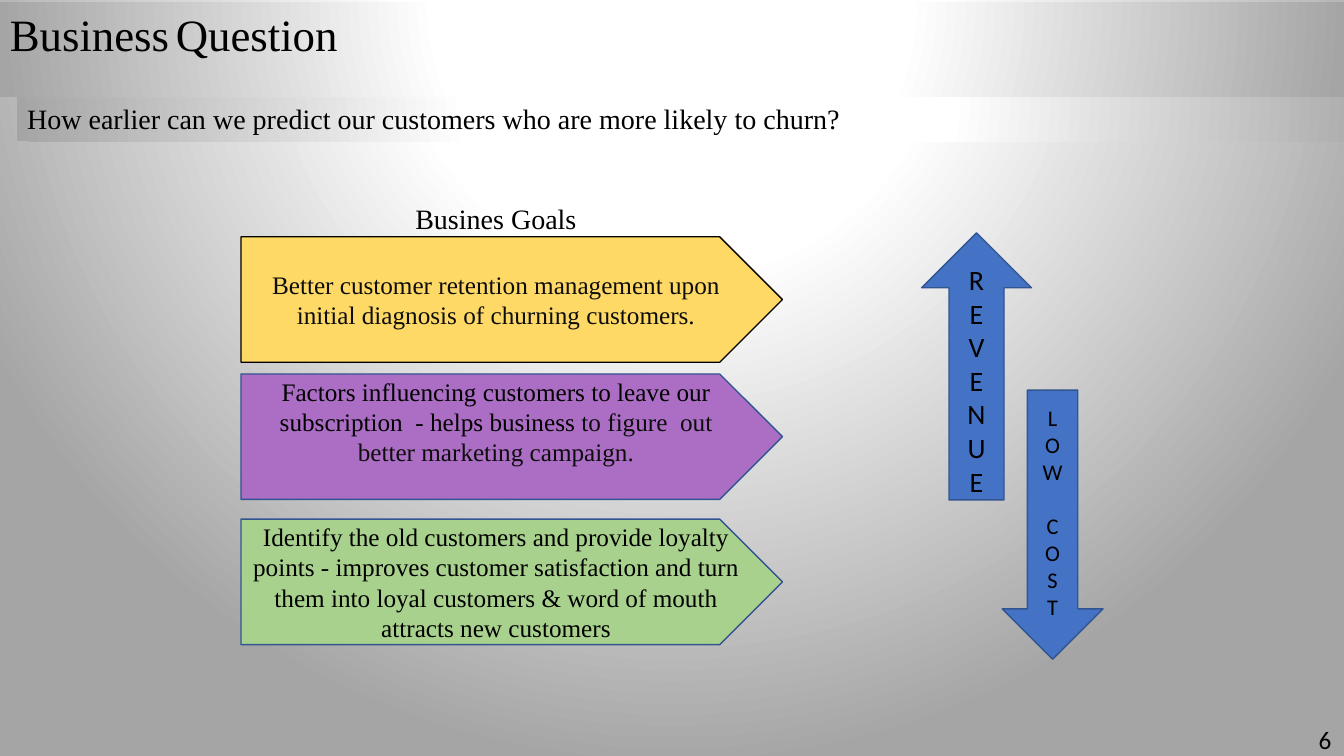
from lxml import etree
from pptx import Presentation
from pptx.dml.color import RGBColor
from pptx.enum.shapes import MSO_SHAPE as Shape
from pptx.enum.text import MSO_ANCHOR as Anchor, PP_ALIGN as Align
from pptx.oxml import parse_xml
from pptx.oxml.ns import nsdecls, qn
from pptx.util import Inches, Pt

BLACK = RGBColor(0x00, 0x00, 0x00)
INK = RGBColor(0x0D, 0x0D, 0x0D)
YELLOW = RGBColor(0xFF, 0xD9, 0x66)
PURPLE = RGBColor(0xAB, 0x6E, 0xC4)
GREEN = RGBColor(0xA9, 0xD1, 0x8E)
BLUE = RGBColor(0x44, 0x72, 0xC4)
NAVY = RGBColor(0x32, 0x54, 0x91)
SERIF, SANS = "Times New Roman", "Calibri"

SPOTLIGHT = f"""<a:gradFill {nsdecls('a')} rotWithShape="1"><a:gsLst>
<a:gs pos="0"><a:srgbClr val="FFFFFF"/></a:gs>
<a:gs pos="35000"><a:srgbClr val="FFFFFF"/></a:gs>
<a:gs pos="100000"><a:srgbClr val="A5A5A5"/></a:gs></a:gsLst>
<a:path path="circle"><a:fillToRect l="50000" t="-80000" r="50000" b="180000"/></a:path>
</a:gradFill>"""

deck = Presentation()
deck.slide_width, deck.slide_height = Inches(13.33), Inches(7.5)
page = deck.slides.add_slide(deck.slide_layouts[6])


def place(share, preset=None, fill=None, line=None):
    """Add a shape, or a text box if no preset is given; share is in percent of the slide."""
    sides = (deck.slide_width, deck.slide_height) * 2
    area = [round(side * part / 100) for side, part in zip(sides, share)]
    if preset is None:
        return page.shapes.add_textbox(*area)
    shape = page.shapes.add_shape(preset, *area)
    shape.shadow.inherit = False
    if fill is not None:
        shape.fill.solid()
        shape.fill.fore_color.rgb = fill
    if line is None:
        shape.line.fill.background()
    else:
        shape.line.color.rgb = line
        shape.line.width = Pt(1)
    shape.text_frame.word_wrap = True
    return shape


def write(box, lines, font, align=Align.LEFT, anchor=Anchor.TOP):
    """Fill a box with paragraphs, each a list of (text, size, colour) runs."""
    frame = box.text_frame
    frame.vertical_anchor = anchor
    for index, runs in enumerate(lines):
        para = frame.add_paragraph() if index else frame.paragraphs[0]
        para.alignment = align
        for text, size, color in runs:
            span = para.add_run()
            span.text = text
            span.font.name, span.font.size = font, Pt(size)
            span.font.color.rgb = color


# Backdrop and the two heading bands share one gradient
page.background.fill.gradient()
gradients = [next(page.element.iter(qn("a:gradFill")))]

bands = [
    ((1.28, 12.8, 102.85, 5.87),
     [("How earlier can we predict our customers who are more likely to churn?", 20, BLACK)]),
    ((0, 0.27, 100, 12.53),
     [("Business", 32, BLACK), (" ", 18, BLACK), ("Question", 32, BLACK)]),
]
for share, runs in bands:
    band = place(share, Shape.RECTANGLE)
    band.fill.gradient()
    gradients.append(next(band.element.iter(qn("a:gradFill"))))
    write(band, [runs], SERIF)

for gradient in gradients:
    gradient.getparent().replace(gradient, parse_xml(SPOTLIGHT))

# Business goals: top, fill, line, bottom inset, runs
goals = [
    (31.33, YELLOW, BLACK, 0.05,
     [("Better customer retention management upon initial diagnosis of churning customers.",
       18, INK)]),
    (49.47, PURPLE, NAVY, 0.35,
     [("Factors influencing customers to leave our subscription  - helps business ", 18, BLACK),
      ("to figure  out better marketing campaign.", 18, INK)]),
    (68.67, GREEN, NAVY, 0.05,
     [("Identify the old customers and provide loyalty points - improves customer satisfaction "
       "and turn them into loyal customers & word of mouth attracts new customers", 18, BLACK)]),
]
for top, fill, line, inset, runs in goals:
    goal = place((17.93, top, 40.29, 16.6), Shape.PENTAGON, fill, line)
    goal.text_frame.margin_bottom = Inches(inset)
    write(goal, [runs], SERIF, Align.CENTER, Anchor.MIDDLE)

# Outcome arrows, one letter a line
outcomes = [
    ((68.57, 30.8, 8.18, 35.33), Shape.UP_ARROW, "REVENUE", 20),
    ((74.57, 51.6, 7.5, 35.6), Shape.DOWN_ARROW, "LOW COST", 16),
]
for share, preset, label, size in outcomes:
    arrow = place(share, preset, BLUE, NAVY)
    words = label.split()
    letters = [[(letter, size, BLACK)] for letter in "".join(words)]
    write(arrow, letters, SANS, Align.CENTER, Anchor.MIDDLE)
    if len(words) > 1:
        arrow.text_frame.paragraphs[len(words[0])].space_before = Pt(size * 1.22)

# Goals heading and page number
labels = [
    ((30.16, 26, 13.58, 5.87), "Busines Goals", 20, SERIF),
    ((97.37, 95.2, 2.63, 5.33), "6", 18, SANS),
]
for share, text, size, font in labels:
    write(place(share), [[(text, size, BLACK)]], font)

deck.save("out.pptx")
